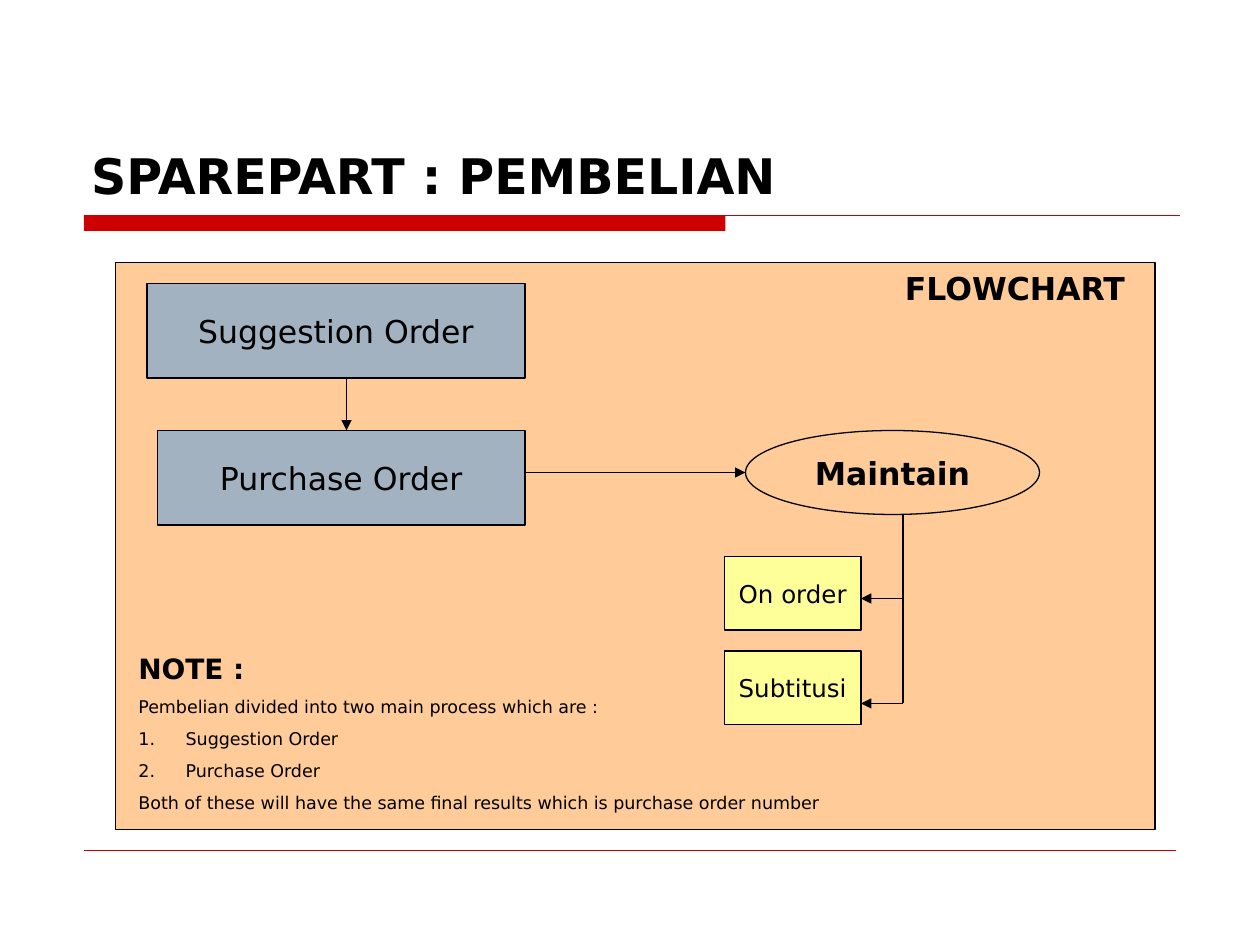
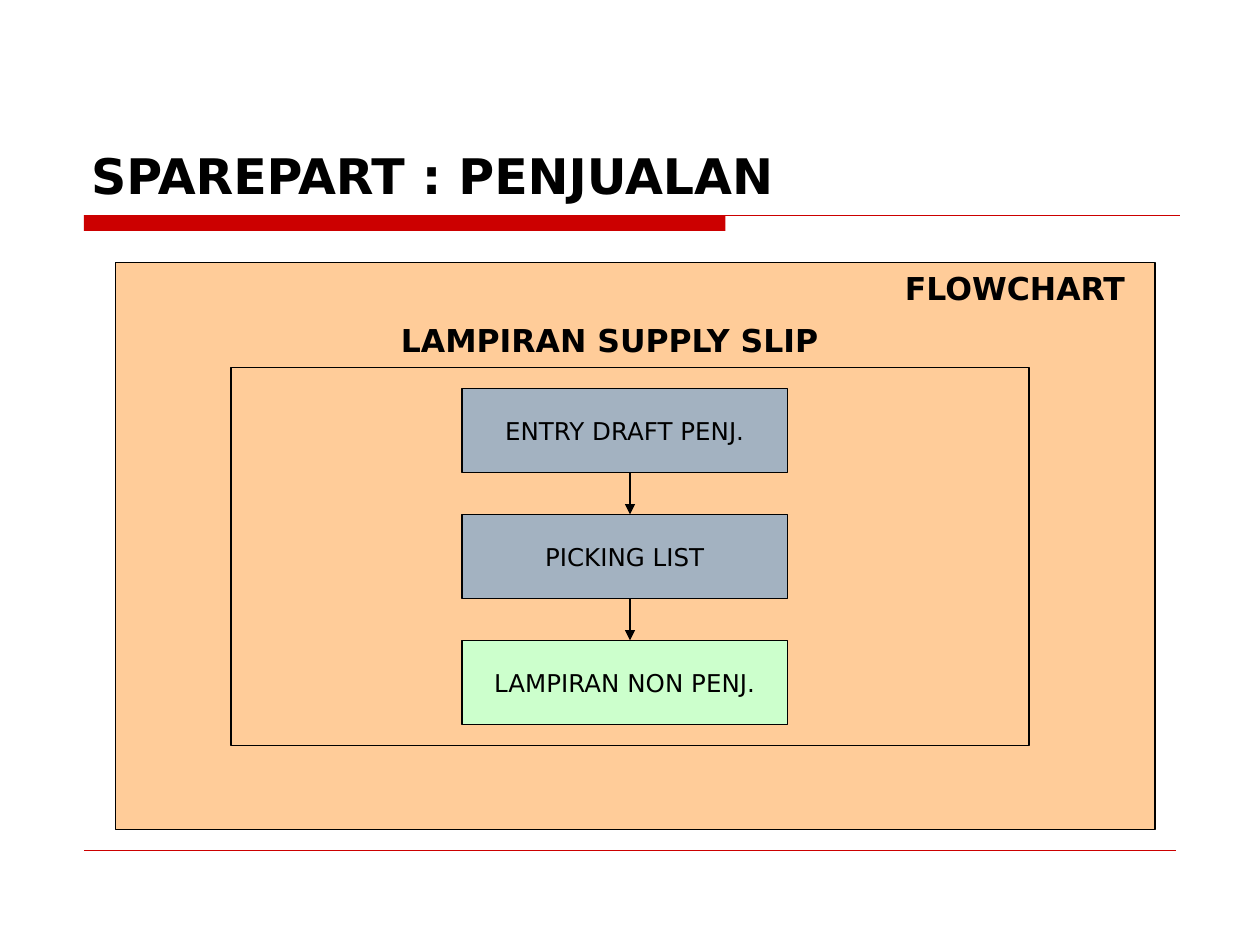
from lxml.etree import SubElement
from pptx import Presentation
from pptx.dml.color import RGBColor
from pptx.enum.shapes import MSO_CONNECTOR as Conn, MSO_SHAPE as Kind
from pptx.enum.text import MSO_ANCHOR as Anchor, PP_ALIGN as Align
from pptx.oxml.ns import qn
from pptx.util import Pt

RED = RGBColor(0xCC, 0x00, 0x00)
BLACK = RGBColor(0x00, 0x00, 0x00)
PEACH = RGBColor(0xFF, 0xCC, 0x99)
STEEL = RGBColor(0xA3, 0xB2, 0xC1)
YELLOW = RGBColor(0xFF, 0xFF, 0x99)
GREEN = RGBColor(0xCC, 0xFF, 0xCC)
FONT = "DejaVu Sans"


def put(page, area, text="", size=18, bold=False, kind=None, fill=None, edge=BLACK):
    """Add a preset shape with centred text, or a plain text box if no kind is given."""
    place = [Pt(v) for v in area]
    if kind is None:
        item = page.shapes.add_textbox(*place)
    else:
        item = page.shapes.add_shape(kind, *place)
        item.shadow.inherit = False
        for part, tone in ((item.fill, fill), (item.line.fill, edge)):
            if tone is None:
                part.background()
            else:
                part.solid()
                part.fore_color.rgb = tone
        if edge is not None:
            item.line.width = Pt(0.75)
    if text:
        frame = item.text_frame
        frame.word_wrap = kind is None
        frame.vertical_anchor = Anchor.TOP if kind is None else Anchor.MIDDLE
        para = frame.paragraphs[0]
        para.alignment = Align.LEFT if kind is None else Align.CENTER
        para.text = text
        for name, value in dict(name=FONT, size=Pt(size), bold=bold).items():
            setattr(para.font, name, value)
        para.font.color.rgb = BLACK
    return item


def link(page, ends, color=BLACK, width=0.75, arrow=True):
    wire = page.shapes.add_connector(Conn.STRAIGHT, *[Pt(v) for v in ends])
    wire.line.color.rgb = color
    wire.line.width = Pt(width)
    if arrow:
        SubElement(wire.line._get_or_add_ln(), qn("a:tailEnd"), type="triangle")
    SubElement(wire._element.spPr, qn("a:effectLst"))


deck = Presentation()
deck.slide_width, deck.slide_height = Pt(720), Pt(540)

# Shared title, rules, panel and panel label
pages = []
for title in ("SPAREPART : PEMBELIAN", "SPAREPART : PENJUALAN"):
    page = deck.slides.add_slide(deck.slide_layouts[6])
    put(page, (48, 123, 366.5, 9), kind=Kind.RECTANGLE, fill=RED, edge=None)
    link(page, (48, 123, 674.5, 123), RED, arrow=False)
    link(page, (48, 486, 672, 486), RED, 0.25, arrow=False)
    put(page, (66, 150, 594, 324), kind=Kind.RECTANGLE, fill=PEACH)
    head = put(page, (45, 24, 630, 96), title, 28, True)
    head.text_frame.vertical_anchor = Anchor.BOTTOM
    put(page, (510, 150, 180, 29), "FLOWCHART", 18, True)
    pages.append(page)
buy, sell = pages

# Purchase flow
for text, area, size, fill in (
    ("Purchase Order", (90, 246, 210, 54), 18, STEEL),
    ("Suggestion Order", (84, 162, 216, 54), 18, STEEL),
    ("Subtitusi", (414, 372, 78, 42), 14, YELLOW),
    ("On order", (414, 318, 78, 42), 14, YELLOW),
):
    put(buy, area, text, size, kind=Kind.RECTANGLE, fill=fill)
put(buy, (426, 246, 168, 48), "Maintain", 18, True, Kind.OVAL)

link(buy, (516, 294, 516, 402), arrow=False)
for ends in (
    (516, 342, 492, 342),
    (516, 402, 492, 402),
    (198, 216, 198, 246),
    (300, 270, 426, 270),
):
    link(buy, ends)

note = put(buy, (72, 369, 450, 99), "NOTE :", 16, True).text_frame
for text, listed in (
    ("Pembelian divided into two main process which are :", False),
    ("Suggestion Order", True),
    ("Purchase Order", True),
    ("Both of these will have the same final results which is purchase order number", False),
):
    para = note.add_paragraph()
    para.text = text
    para.space_before = Pt(6.2)
    props = para._p.get_or_add_pPr()
    props.set("marL", str(Pt(27)))
    props.set("indent", str(Pt(-27)))
    if listed:
        SubElement(props, qn("a:buFont"), typeface=FONT)
        SubElement(props, qn("a:buAutoNum"), type="arabicPeriod")
    for name, value in dict(name=FONT, size=Pt(10), bold=False).items():
        setattr(para.font, name, value)
    para.font.color.rgb = BLACK

# Sales flow
steps = (("ENTRY DRAFT PENJ.", STEEL), ("PICKING LIST", STEEL), ("LAMPIRAN NON PENJ.", GREEN))
for i, (text, fill) in enumerate(steps):
    top = 222 + 72 * i
    put(sell, (264, top, 186, 48), text, 14, kind=Kind.RECTANGLE, fill=fill)
    if i:
        link(sell, (360, top - 24, 360, top))
put(sell, (132, 210, 456, 216), kind=Kind.RECTANGLE)
put(sell, (222, 180, 288, 29), "LAMPIRAN SUPPLY SLIP", 18, True)

deck.save("out.pptx")
